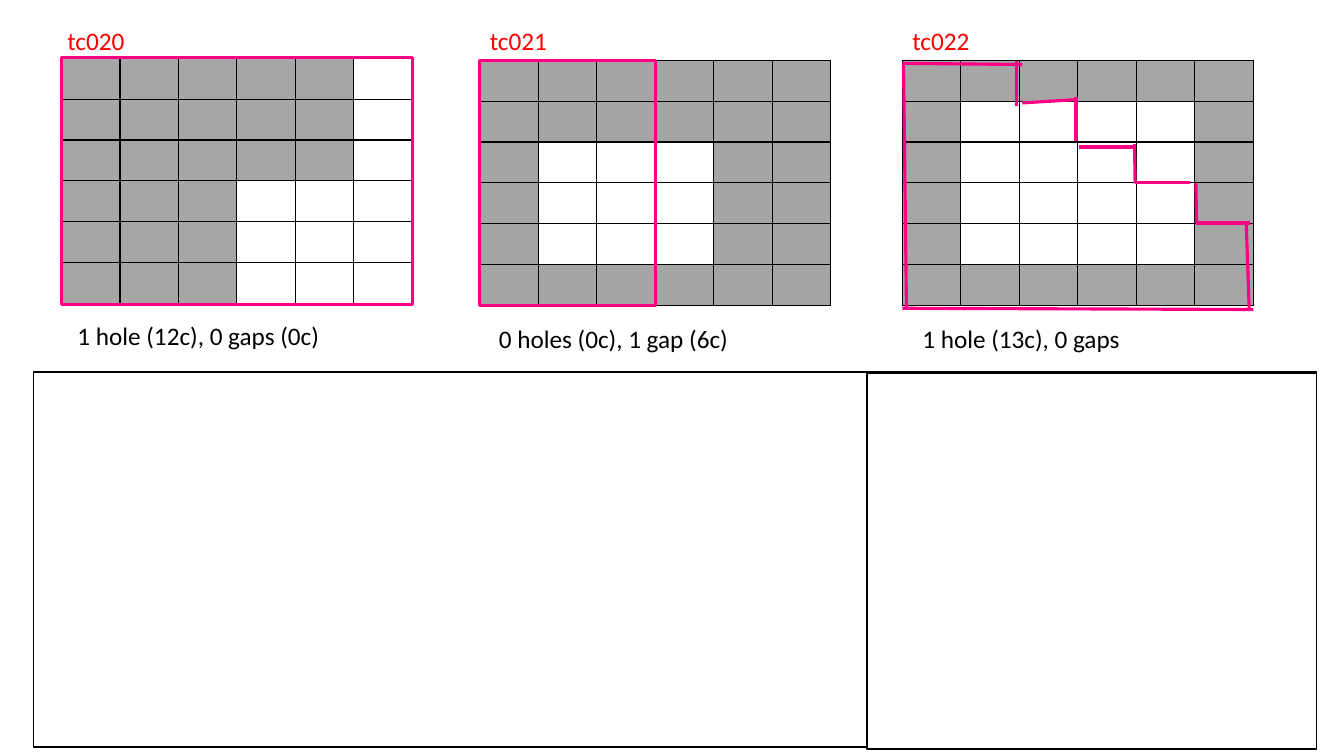
import pptx
import pptx.dml.color
import pptx.enum.shapes
import pptx.oxml
import pptx.oxml.ns
import pptx.util
from lxml import etree

COLUMN, ROW = 0.58, 0.405  # size of one grid cell, in inches
PINK, BLACK, WHITE, RED = "FF0084", "000000", "FFFFFF", "FF0000"
CAPTION_WIDTH, CAPTION_HEIGHT = 3, 0.4

# Each grid: left, top, grey, rows ("#" filled, "." empty),
# name and its left edge, result and its place
GRIDS = [
    (0.61, 0.58, "A6A6A6", ["#####."] * 3 + ["###..."] * 3,
     "tc020", 0.57, "1 hole (12c), 0 gaps (0c)", 0.67, 3.13),
    (4.76, 0.6, "A5A5A5", ["######"] * 2 + ["#...##"] * 3 + ["######"],
     "tc021", 4.76, "0 holes (0c), 1 gap (6c)", 4.85, 3.16),
    (8.95, 0.6, "A6A6A6", ["######"] + ["#....#"] * 4 + ["######"],
     "tc022", 8.95, "1 hole (13c), 0 gaps", 9.05, 3.16),
]

# Staircase outline on the third grid: from and to, in columns and rows
STAIRCASE = [
    (0, 0.07, 2.05, 0.1), (3.02, 2.12, 3.97, 2.12),
    (1.95, 0.02, 1.95, 1.11), (2.97, 0.89, 2.97, 1.98),
    (2.05, 1.04, 2.97, 0.96), (3.97, 2.99, 4.91, 2.99),
    (5.02, 3.98, 5.95, 3.98), (5.02, 3.01, 5.03, 3.98),
    (3.97, 2.05, 3.98, 3.01), (0, 6.07, 6, 6.1),
    (0.07, 6.07, 0.02, 0.1), (5.93, 6.07, 5.88, 3.98),
]


def color(value):
    return pptx.dml.color.RGBColor.from_string(value)


def inches(*lengths):
    return [pptx.util.Inches(length) for length in lengths]


def set_values(target, values):
    for name, value in values.items():
        setattr(target, name, value)


def set_line(line, value, width):
    line.color.rgb = color(value)
    line.width = pptx.util.Pt(width)


def add_borders(cell):
    properties = cell._tc.get_or_add_tcPr()
    for side in ("lnL", "lnR", "lnT", "lnB"):
        properties.append(pptx.oxml.parse_xml(
            f'<a:{side} {pptx.oxml.ns.nsdecls("a")} w="12700"><a:solidFill>'
            f'<a:srgbClr val="{BLACK}"/></a:solidFill></a:{side}>'))


def add_grid(slide, left, top, grey, pattern):
    count = len(pattern)
    place = inches(left, top, count * COLUMN, count * ROW)
    table = slide.shapes.add_table(count, count, *place).table
    set_values(table, {"first_row": False, "horz_banding": False})
    for index in range(count):
        table.columns[index].width = pptx.util.Inches(COLUMN)
        table.rows[index].height = pptx.util.Inches(ROW)
        for position, mark in enumerate(pattern[index]):
            cell = table.cell(index, position)
            set_values(cell, {"margin_top": 0, "margin_bottom": 0})
            add_borders(cell)
            cell.fill.solid()
            cell.fill.fore_color.rgb = color(grey if mark == "#" else WHITE)


def add_caption(slide, text, left, top, text_color):
    place = inches(left, top, CAPTION_WIDTH, CAPTION_HEIGHT)
    frame = slide.shapes.add_textbox(*place).text_frame
    frame.word_wrap = True
    run = frame.paragraphs[0].add_run()
    run.text = text
    set_values(run.font, {"name": "Calibri", "size": pptx.util.Pt(18)})
    run.font.color.rgb = color(text_color)


def add_box(slide, place, line_color, width, fill=None):
    shape = slide.shapes.add_shape(
        pptx.enum.shapes.MSO_SHAPE.RECTANGLE, *inches(*place))
    shape.shadow.inherit = False
    if fill:
        shape.fill.solid()
        shape.fill.fore_color.rgb = color(fill)
    else:
        shape.fill.background()
    set_line(shape.line, line_color, width)


def add_stroke(slide, left, top, stroke):
    start_column, start_row, end_column, end_row = stroke
    connector = slide.shapes.add_connector(
        pptx.enum.shapes.MSO_CONNECTOR.STRAIGHT,
        *inches(left + start_column * COLUMN, top + start_row * ROW,
                left + end_column * COLUMN, top + end_row * ROW))
    set_line(connector.line, PINK, 2.25)
    etree.SubElement(connector._element.spPr, pptx.oxml.ns.qn("a:effectLst"))


def main():
    presentation = pptx.Presentation()
    width, height = inches(13.33, 7.5)
    set_values(presentation, {"slide_width": width, "slide_height": height})
    slide = presentation.slides.add_slide(presentation.slide_layouts[6])

    # Grids with their names and results
    for (left, top, grey, pattern, name, name_left,
         result, result_left, result_top) in GRIDS:
        add_grid(slide, left, top, grey, pattern)
        add_caption(slide, name, name_left, 0.2, RED)
        add_caption(slide, result, result_left, result_top, BLACK)

    # Outlines around the first two grids
    add_box(slide, (0.61, 0.57, 6 * COLUMN, 2.45), PINK, 2.25)
    add_box(slide, (4.76, 0.6, 3 * COLUMN, 6 * ROW), PINK, 2.25)

    # Empty panels below
    add_box(slide, (0.33, 3.69, 12.73, 3.72), BLACK, 1, WHITE)
    add_box(slide, (8.6, 3.7, 4.46, 3.73), BLACK, 1, WHITE)

    # Staircase outline on the third grid
    left, top = GRIDS[2][:2]
    for stroke in STAIRCASE:
        add_stroke(slide, left, top, stroke)

    presentation.save("out.pptx")


if __name__ == "__main__":
    main()
